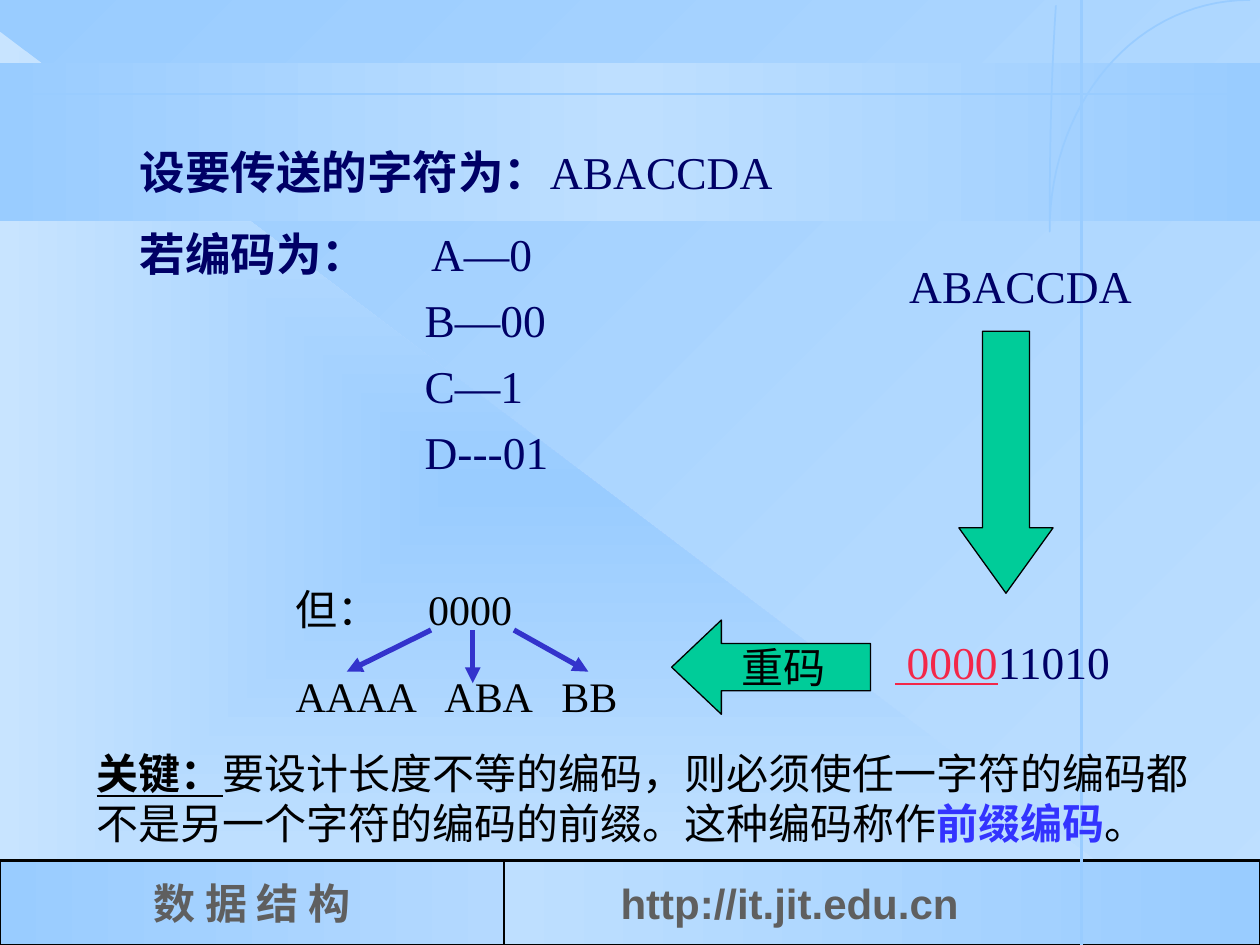
from dataclasses import dataclass

from lxml import etree
from pptx import Presentation
from pptx.dml.color import RGBColor
from pptx.enum import shapes, text
from pptx.oxml import ns
from pptx.util import Cm, Pt

SHAPE = shapes.MSO_SHAPE


@dataclass(frozen=True)
class Theme:
    sky: str = "99CCFF"
    pale: str = "BEDFFF"
    footer_end: str = "B4D9FF"
    corner: str = "C8E4FF"
    black: str = "000000"
    grey: str = "5F5F5F"
    navy: str = "000066"
    red: str = "F32749"
    blue: str = "3333FF"
    pointer: str = "3333CC"
    green: str = "00CC99"
    serif: str = "Times New Roman"
    sans: str = "Arial"
    large: int = 26
    medium: int = 24


THEME = Theme()
LARGE = {"name": THEME.serif, "size": Pt(THEME.large), "color": THEME.navy}
MEDIUM = {"name": THEME.serif, "size": Pt(THEME.medium), "color": THEME.black}
FOOTER = {**MEDIUM, "color": THEME.grey, "bold": True}


def child(parent, tag, **attributes):
    return etree.SubElement(parent, ns.qn(tag), {k: str(v) for k, v in attributes.items()})


def apply_format(target, values):
    for key, value in values.items():
        if key == "color":
            target.color.rgb = RGBColor.from_string(value)
        else:
            setattr(target, key, value)


def set_gradient(fill, element, colours, angle=0, centred=False):
    """Spread the colours evenly, along an angle or outward from the centre."""
    fill.gradient()
    gradient = element.find(".//" + ns.qn("a:gradFill"))
    for part in list(gradient):
        gradient.remove(part)
    stops = child(gradient, "a:gsLst")
    for i, colour in enumerate(colours):
        stop = child(stops, "a:gs", pos=i * 100000 // (len(colours) - 1))
        child(stop, "a:srgbClr", val=colour)
    if centred:
        path = child(gradient, "a:path", path="rect")
        child(path, "a:fillToRect", **dict.fromkeys("ltrb", 50000))
    else:
        child(gradient, "a:lin", ang=angle * 60000, scaled=0)


def add_box(slide, kind, box, colours, outline=None, centred=False):
    shape = slide.shapes.add_shape(kind, *map(Cm, box))
    shape.shadow.inherit = False
    if len(colours) == 1:
        shape.fill.solid()
        shape.fill.fore_color.rgb = RGBColor.from_string(colours[0])
    else:
        set_gradient(shape.fill, shape._element, colours, centred=centred)
    if outline:
        apply_format(shape.line, {"color": THEME.black, "width": Pt(outline)})
    else:
        shape.line.fill.background()
    return shape


def add_line(slide, start, end, colour, width, arrow=False):
    line = slide.shapes.add_connector(
        shapes.MSO_CONNECTOR.STRAIGHT, *map(Cm, start + end))
    apply_format(line.line, {"color": colour, "width": Pt(width)})
    if arrow:
        child(line.line._get_or_add_ln(), "a:tailEnd", type="triangle")
    child(line._element.spPr, "a:effectLst")


def write(frame, paragraphs, style, **frame_format):
    """Fill a frame; each paragraph is (runs, paragraph format), each run (text, changes)."""
    apply_format(frame, {"word_wrap": True, **frame_format})
    for i, (runs, layout) in enumerate(paragraphs):
        paragraph = frame.paragraphs[0] if i == 0 else frame.add_paragraph()
        layout = dict(layout)
        properties = paragraph._p.get_or_add_pPr()
        indent, tabs = layout.pop("indent", 0), layout.pop("tabs", ())
        if indent:
            properties.set("marL", str(Cm(indent)))
            properties.set("indent", "0")
        if tabs:
            tab_list = child(properties, "a:tabLst")
            for tab in tabs:
                child(tab_list, "a:tab", pos=Cm(tab), algn="l")
        apply_format(paragraph, layout)
        for words, changes in runs:
            run = paragraph.add_run()
            run.text = words
            apply_format(run.font, {**style, **changes})


def add_text(slide, box, paragraphs, style):
    write(slide.shapes.add_textbox(*map(Cm, box)).text_frame, paragraphs, style)


def bezier(points, end=1, steps=30):
    p0, p1, p2, p3 = points
    for i in range(steps + 1):
        t = end * i / steps
        s = 1 - t
        yield tuple(s**3 * a + 3 * s * s * t * b + 3 * s * t * t * c + t**3 * d
                    for a, b, c, d in zip(p0, p1, p2, p3))


def draw_backdrop(slide, box):
    left, top, width, height = box
    set_gradient(slide.background.fill, slide._element, [THEME.sky, THEME.pale], angle=45)
    add_box(slide, SHAPE.RIGHT_TRIANGLE, (left, top + 0.64, 24.33, height - 0.64),
            [THEME.sky, THEME.corner], centred=True)
    add_box(slide, SHAPE.RECTANGLE, (left, top + 1.27, width, 3.18),
            [THEME.sky, THEME.pale, THEME.sky])


def draw_footer(slide, box):
    left, top, width, height = box
    split = 0.4 * width
    course = add_box(slide, SHAPE.RECTANGLE, (left, top, split, height),
                     [THEME.sky, THEME.footer_end], 1.5)
    site = add_box(slide, SHAPE.RECTANGLE, (left + split, top, width - split, height),
                   [THEME.pale, THEME.sky], 1.5)
    write(course.text_frame, [([("数 据 结 构", {})], {"alignment": text.PP_ALIGN.CENTER})],
          FOOTER, vertical_anchor=text.MSO_ANCHOR.MIDDLE)
    write(site.text_frame,
          [([("http://it.jit.edu.cn", {"name": THEME.sans})],
            {"alignment": text.PP_ALIGN.LEFT})],
          FOOTER, vertical_anchor=text.MSO_ANCHOR.MIDDLE, margin_left=Cm(2.35))


def draw_guides(slide, box):
    left, top, width, height = box
    add_line(slide, (left, top + 1.9), (left + width, top + 1.9), THEME.sky, 1)
    add_line(slide, (left + 21.8, top), (left + 21.8, top + height), THEME.sky, 1.5)
    arc = list(bezier([(25.2, 0), (22.89, 0), (21.16, 2.08), (21.16, 4.67)]))
    rise = list(bezier([(21.16, 4.67), (21.16, -6.88), (22.89, -4.8), (24.99, -4.8)], end=0.16))
    points = [(Cm(left + x), Cm(top + y)) for x, y in arc + rise[1:]]
    builder = slide.shapes.build_freeform(*points[0])
    builder.add_line_segments(points[1:], close=False)
    curve = builder.convert_to_shape()
    curve.shadow.inherit = False
    curve.fill.background()
    apply_format(curve.line, {"color": THEME.sky, "width": Pt(1)})


def draw_code_table(slide, box):
    gap = {"space_before": Pt(6.5)}
    codes = [([(code, {})], {**gap, "indent": 5.74}) for code in ("B—00", "C—1", "D---01")]
    add_text(slide, box, [
        ([("设要传送的字符为：", {"bold": True}), ("ABACCDA", {})], {"line_spacing": 1.3}),
        ([("若编码为：", {"bold": True}), ("\tA—0", {})],
         {**gap, "line_spacing": 1.3, "tabs": [5.87]}),
        *codes], LARGE)


def draw_encoding(slide, box):
    left, top, _, _ = box
    arrow = add_box(slide, SHAPE.DOWN_ARROW, (left + 1.53, top + 1.6, 1.9, 5.28),
                    [THEME.green], 0.75)
    arrow.adjustments[1] = 0.694
    add_text(slide, (left + 0.28, top, 5.2, 1.37), [([("ABACCDA", {})], {})], LARGE)
    add_text(slide, (left, top + 7.57, 5.4, 1.37),
             [([(" 0000", {"color": THEME.red, "underline": True}), ("11010", {})], {})], LARGE)


def draw_ambiguity(slide, box):
    left, top, _, _ = box
    add_text(slide, box, [
        ([("但：\t0000", {})], {"tabs": [2.67]}),
        ([("AAAA\tABA\tBB", {})], {"space_before": Pt(21), "tabs": [3, 5.36]})], MEDIUM)
    for x, tip_x, tip_y in ((2.98, 1.28, 1.91), (3.82, 3.82, 2.14), (4.65, 6.15, 1.91)):
        add_line(slide, (left + x, top + 1.07), (left + tip_x, top + tip_y),
                 THEME.pointer, 3, arrow=True)
    arrow = add_box(slide, SHAPE.LEFT_ARROW, (left + 7.83, top + 0.87, 4.01, 1.9),
                    [THEME.green], 0.75)
    arrow.adjustments[1] = 0.528
    write(arrow.text_frame, [([("重码", {})], {"alignment": text.PP_ALIGN.CENTER})],
          MEDIUM, word_wrap=False, vertical_anchor=text.MSO_ANCHOR.MIDDLE)


def draw_conclusion(slide, box):
    add_text(slide, box, [([
        ("关键：", {"bold": True, "underline": True}),
        ("要设计长度不等的编码，则必须使任一字符的编码都不是另一个字符的编码的前缀。这种编码称作", {}),
        ("前缀编码", {"color": THEME.blue, "bold": True}), ("。", {})], {})], MEDIUM)


def main():
    deck = Presentation()
    apply_format(deck, {"slide_width": Cm(25.4), "slide_height": Cm(19.05)})
    slide = deck.slides.add_slide(deck.slide_layouts[6])
    page = (0, 0, 25.4, 19.05)
    draw_backdrop(slide, page)
    draw_footer(slide, (0, 17.35, 25.4, 1.7))
    draw_guides(slide, page)
    draw_code_table(slide, (2.57, 2.44, 18.62, 8.66))
    draw_encoding(slide, (17.8, 5.08, 5.4, 8.94))
    draw_conclusion(slide, (1.7, 14.94, 22.56, 2.29))
    draw_ambiguity(slide, (5.71, 11.63, 8.69, 3.02))
    deck.save("out.pptx")


if __name__ == "__main__":
    main()
